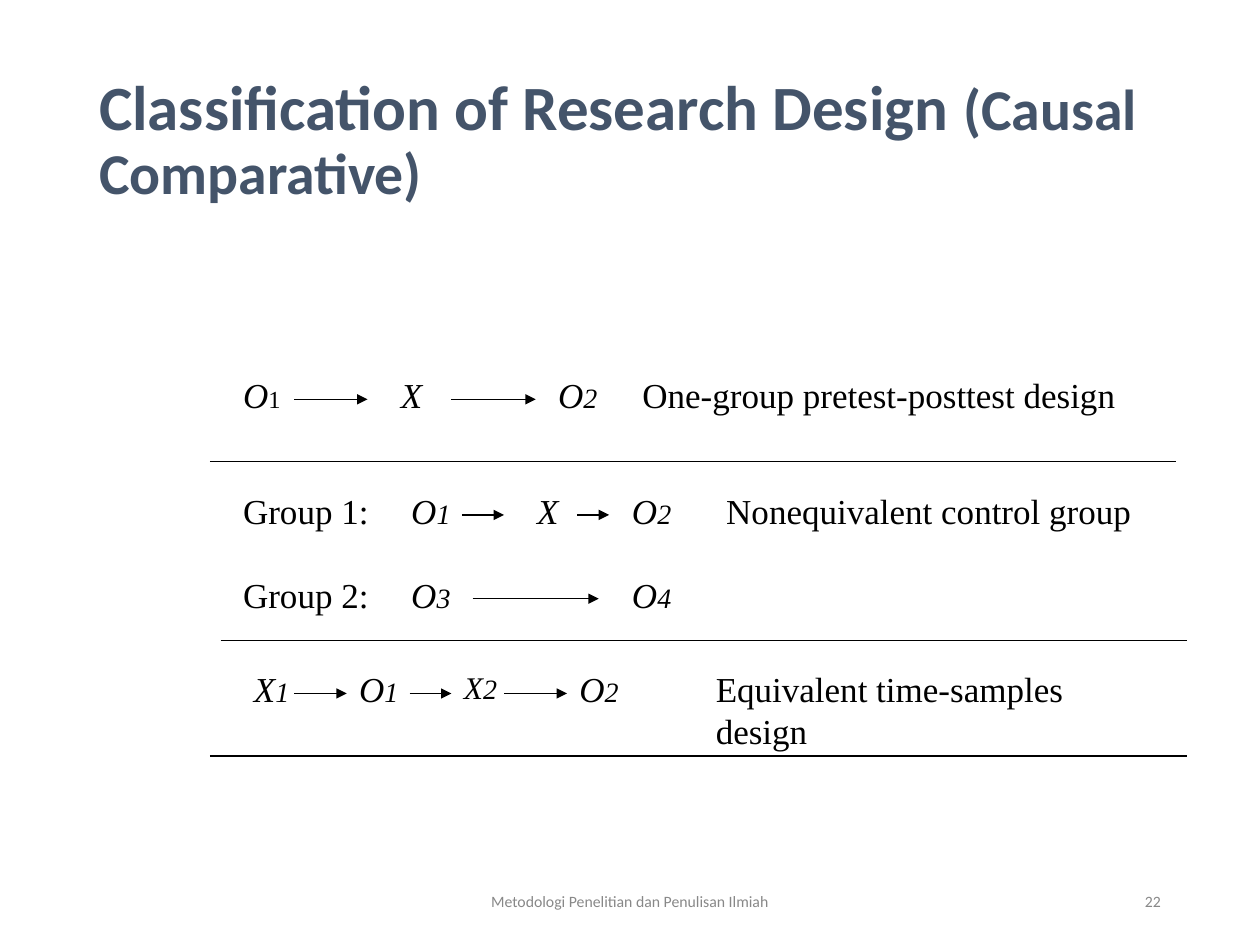
from dataclasses import dataclass

import pptx
import pptx.dml.color
import pptx.enum.shapes
import pptx.enum.text
import pptx.oxml.ns
import pptx.util
from lxml import etree
from pptx.util import Cm, Pt

BLACK = pptx.dml.color.RGBColor(0x00, 0x00, 0x00)
SLATE = pptx.dml.color.RGBColor(0x44, 0x54, 0x6A)
GREY = pptx.dml.color.RGBColor(0x88, 0x88, 0x88)
SERIF, SANS = "Times New Roman", "Calibri"
ALIGN = pptx.enum.text.PP_ALIGN
ANCHOR = pptx.enum.text.MSO_ANCHOR
LABEL_HEIGHT = 1.1
ARROW_DROP = 0.64


@dataclass(frozen=True)
class Symbol:
    """An observation (O) or treatment (X) with its index; lengths in cm."""
    letter: str
    index: str
    left: float
    width: float
    size: int = 20
    index_size: int = 16
    index_italic: bool = True


@dataclass(frozen=True)
class Label:
    text: str
    left: float
    width: float


@dataclass(frozen=True)
class DesignRow:
    top: float
    symbols: tuple[Symbol, ...]
    arrows: tuple[tuple[float, float], ...]
    labels: tuple[Label, ...]


DESIGN_ROWS = (
    DesignRow(
        7.41,
        (Symbol("O", "1", 4.65, 1.48, index_size=14, index_italic=False),
         Symbol("X", "", 7.83, 1.27),
         Symbol("O", "2", 11.0, 1.9)),
        ((5.93, 7.41), (9.1, 10.8)),
        (Label("One-group pretest-posttest design", 12.7, 10.37),),
    ),
    DesignRow(
        9.74,
        (Symbol("O", "1", 8.04, 1.7),
         Symbol("X", "", 10.58, 1.27),
         Symbol("O", "2", 12.49, 1.48)),
        ((9.31, 10.16), (11.64, 12.28)),
        (Label("Group 1:", 4.65, 3.6),
         Label("Nonequivalent control group", 14.39, 9.32)),
    ),
    DesignRow(
        11.43,
        (Symbol("O", "3", 8.04, 1.48),
         Symbol("O", "4", 12.49, 1.7)),
        ((9.53, 12.07),),
        (Label("Group 2:", 4.65, 3.38),),
    ),
    DesignRow(
        13.34,
        (Symbol("X", "1", 4.87, 1.27),
         Symbol("O", "1", 6.99, 1.9),
         Symbol("X", "2", 9.1, 2.1, size=18),
         Symbol("O", "2", 11.43, 1.7)),
        ((5.93, 6.99), (8.26, 9.1), (10.16, 11.43)),
        (Label("Equivalent time-samples design", 14.18, 9.45),),
    ),
)

# left, right, y
DIVIDERS = ((4.23, 23.71, 9.31), (4.45, 23.92, 12.91), (4.23, 23.92, 15.24))


def add_text(slide, runs: tuple[tuple[str, int], ...], left: float, top: float,
             width: float, height: float, face: str = SERIF, color=BLACK,
             anchor=ANCHOR.TOP, align=ALIGN.LEFT):
    """Add a one-paragraph text box from (text, size) runs and return the paragraph."""
    frame = slide.shapes.add_textbox(Cm(left), Cm(top), Cm(width), Cm(height)).text_frame
    frame.word_wrap = True
    frame.vertical_anchor = anchor
    paragraph = frame.paragraphs[0]
    paragraph.alignment = align
    paragraph.font.name = face
    paragraph.font.color.rgb = color
    for text, size in runs:
        run = paragraph.add_run()
        run.text = text
        run.font.size = Pt(size)
        run.font.name = face
        run.font.color.rgb = color
    return paragraph


def add_line(slide, left: float, right: float, y: float, arrow: bool = False) -> None:
    line = slide.shapes.add_connector(
        pptx.enum.shapes.MSO_CONNECTOR.STRAIGHT, Cm(left), Cm(y), Cm(right), Cm(y))
    line.line.color.rgb = BLACK
    line.line.width = Pt(0.75)
    if arrow:
        etree.SubElement(line.line._get_or_add_ln(),
                         pptx.oxml.ns.qn("a:tailEnd"), type="triangle")
    etree.SubElement(line._element.spPr, pptx.oxml.ns.qn("a:effectLst"))


def add_symbol(slide, symbol: Symbol, top: float) -> None:
    runs = ((symbol.letter, symbol.size),)
    if symbol.index:
        runs += ((symbol.index, symbol.index_size),)
    paragraph = add_text(slide, runs, symbol.left, top, symbol.width, LABEL_HEIGHT)
    paragraph.runs[0].font.italic = True
    paragraph.runs[-1].font.italic = symbol.index_italic


def add_design_row(slide, row: DesignRow) -> None:
    for symbol in row.symbols:
        add_symbol(slide, symbol, row.top)
    for start, end in row.arrows:
        add_line(slide, start, end, row.top + ARROW_DROP, arrow=True)
    for label in row.labels:
        add_text(slide, ((label.text, 20),), label.left, row.top,
                 label.width, LABEL_HEIGHT)


def main() -> None:
    presentation = pptx.Presentation()
    presentation.slide_width, presentation.slide_height = Cm(25.4), Cm(19.05)
    slide = presentation.slides.add_slide(presentation.slide_layouts[6])

    title = add_text(
        slide, (("Classification of Research Design ", 36), ("(Causal Comparative)", 33)),
        1.75, 1.01, 21.9, 3.68, SANS, SLATE, ANCHOR.MIDDLE)
    title.line_spacing = 0.9
    for run in title.runs:
        run.font.bold = True

    for row in DESIGN_ROWS:
        add_design_row(slide, row)
    for left, right, y in DIVIDERS:
        add_line(slide, left, right, y)

    add_text(slide, (("Metodologi Penelitian dan Penulisan Ilmiah", 9),),
             8.41, 17.66, 8.57, 1.01, SANS, GREY, ANCHOR.MIDDLE, ALIGN.CENTER)
    add_text(slide, (("22", 9),),
             17.94, 17.66, 5.71, 1.01, SANS, GREY, ANCHOR.MIDDLE, ALIGN.RIGHT)
    presentation.save("out.pptx")


if __name__ == "__main__":
    main()
